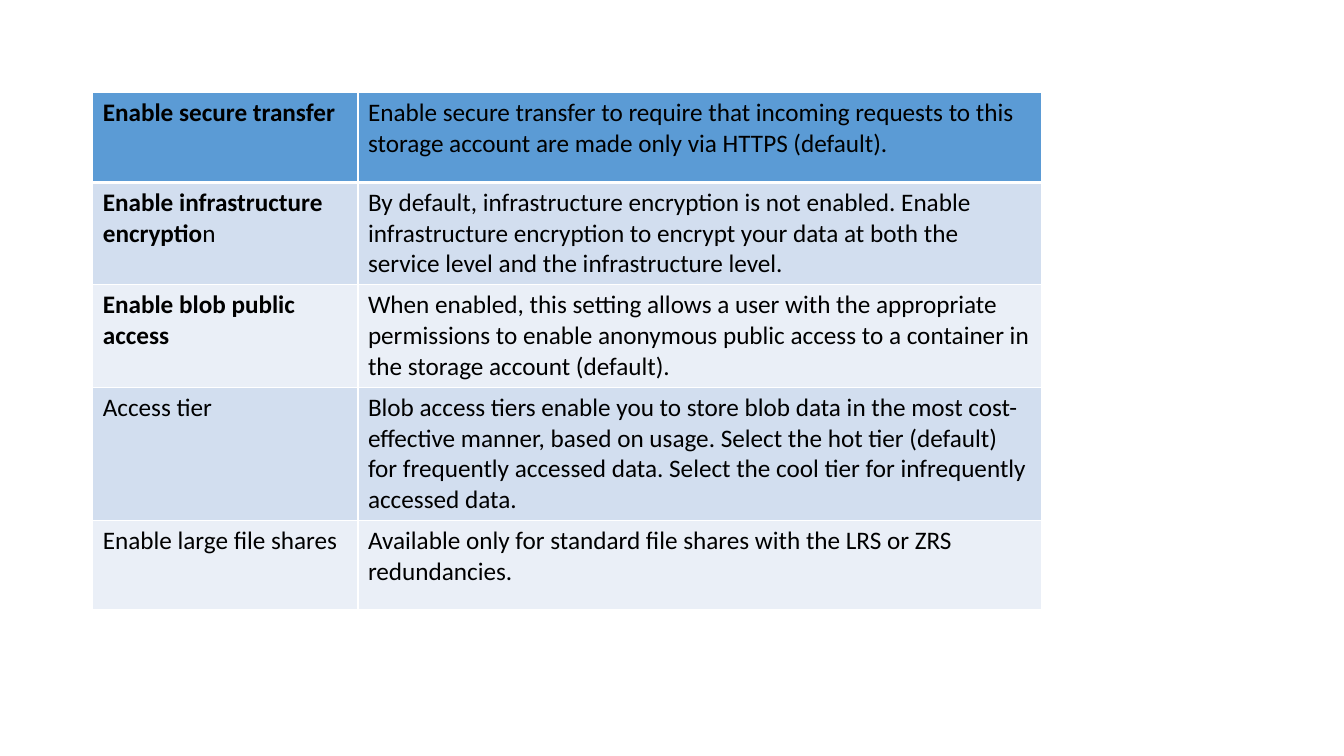
import pptx
import pptx.util
import pptx.dml.color
import pptx.oxml.ns
import lxml.etree

Inches, Pt = pptx.util.Inches, pptx.util.Pt

# Content: (setting as (text, bold) spans, description)
SETTINGS = [
    ([("Enable secure transfer", True)],
     "Enable secure transfer to require that incoming requests to this storage "
     "account are made only via HTTPS (default)."),
    ([("Enable infrastructure encryptio", True), ("n", False)],
     "By default, infrastructure encryption is not enabled. Enable infrastructure "
     "encryption to encrypt your data at both the service level and the "
     "infrastructure level.\u00a0"),
    ([("Enable blob public access", True)],
     "When enabled, this setting allows a user with the appropriate permissions to "
     "enable anonymous public access to a container in the storage account (default). "),
    ([("Access tier", False)],
     "Blob access tiers enable you to store blob data in the most cost-effective "
     "manner, based on usage. Select the hot tier (default) for frequently accessed "
     "data. Select the cool tier for infrequently accessed data."),
    ([("Enable large file shares", False)],
     "Available only for standard file shares with the LRS or ZRS redundancies."),
]

THEME = {
    "font": "Calibri", "size": 18, "text": "000000", "border": "FFFFFF",
    "header": "5B9BD5", "bands": ("EAEFF7", "D2DEEF"),
    "line": 1, "header_line": 3,
}
LEFT, TOP = 0.92, 0.92
COLUMN_WIDTHS = (2.63, 6.78)
ROW_HEIGHT = 0.89


def color(value):
    return pptx.dml.color.RGBColor.from_string(value)


def add_span(para, text, bold=False, size=THEME["size"], fill=THEME["text"]):
    span = para.add_run()
    span.text = text
    span.font.name = THEME["font"]
    span.font.size = Pt(size)
    span.font.bold = bold
    span.font.color.rgb = color(fill)


def add_border(cell, side, width):
    qn = pptx.oxml.ns.qn
    properties = cell._tc.get_or_add_tcPr()
    line = lxml.etree.SubElement(properties, qn("a:ln" + side), w=str(Pt(width)))
    fill = lxml.etree.SubElement(line, qn("a:solidFill"))
    lxml.etree.SubElement(fill, qn("a:srgbClr"), val=THEME["border"])


deck = pptx.Presentation()
deck.slide_width, deck.slide_height = Inches(13.33), Inches(7.5)
page = deck.slides.add_slide(deck.slide_layouts[6])

# Table grid
table = page.shapes.add_table(
    len(SETTINGS), len(COLUMN_WIDTHS), Inches(LEFT), Inches(TOP),
    Inches(sum(COLUMN_WIDTHS)), Inches(ROW_HEIGHT * len(SETTINGS))).table
for column, width in zip(table.columns, COLUMN_WIDTHS):
    column.width = Inches(width)

# Cells: header fill first, then alternating bands
for row, (setting, description) in enumerate(SETTINGS):
    table.rows[row].height = Inches(ROW_HEIGHT)
    row_fill = THEME["bands"][row % 2] if row else THEME["header"]
    for column, spans in enumerate((setting, [(description, False)])):
        cell = table.cell(row, column)
        for side in "LRTB":
            below_header = (row, side) in ((0, "B"), (1, "T"))
            add_border(cell, side, THEME["header_line" if below_header else "line"])
        cell.fill.solid()
        cell.fill.fore_color.rgb = color(row_fill)
        for text, bold in spans:
            add_span(cell.text_frame.paragraphs[0], text, bold=bold)

deck.save("out.pptx")
